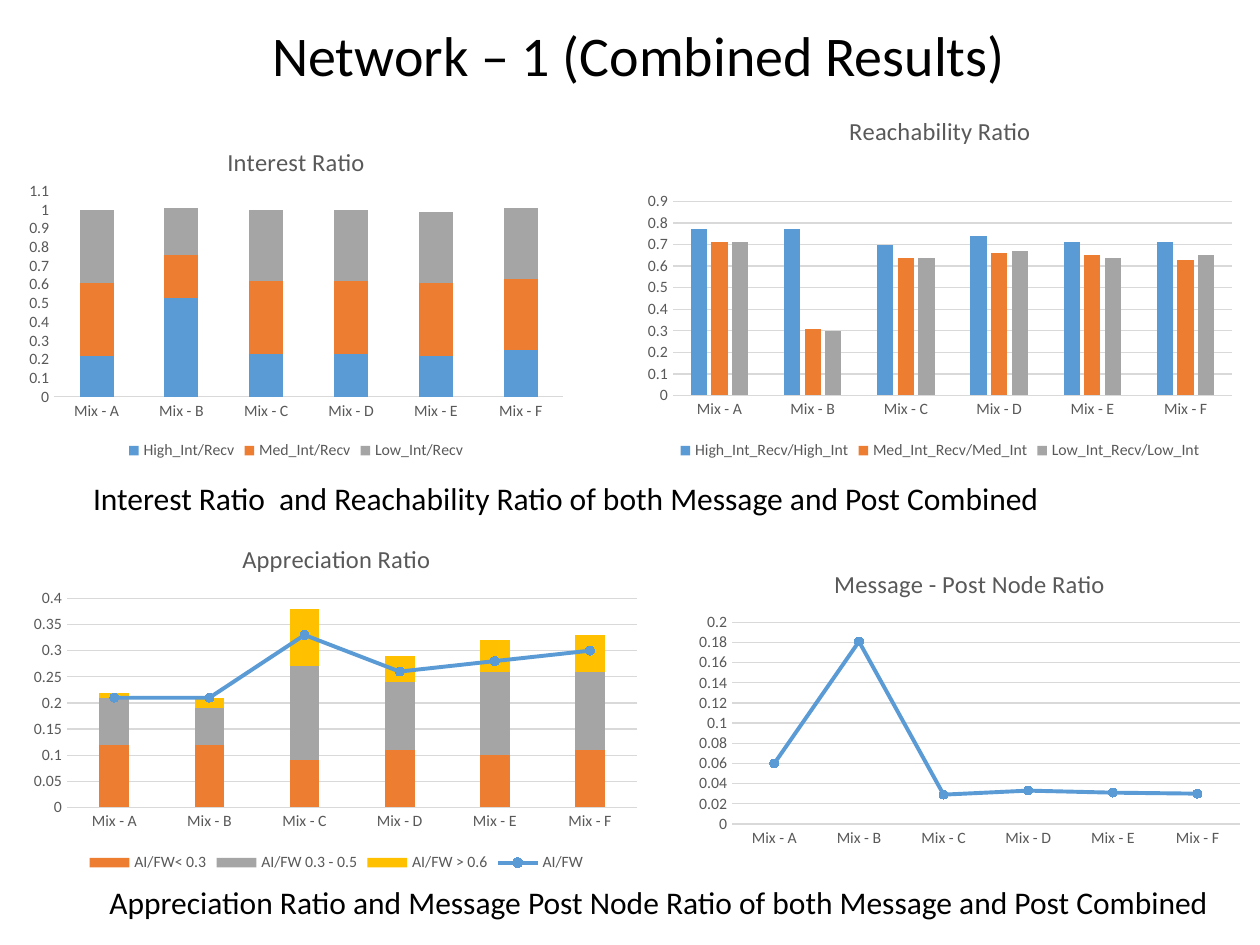
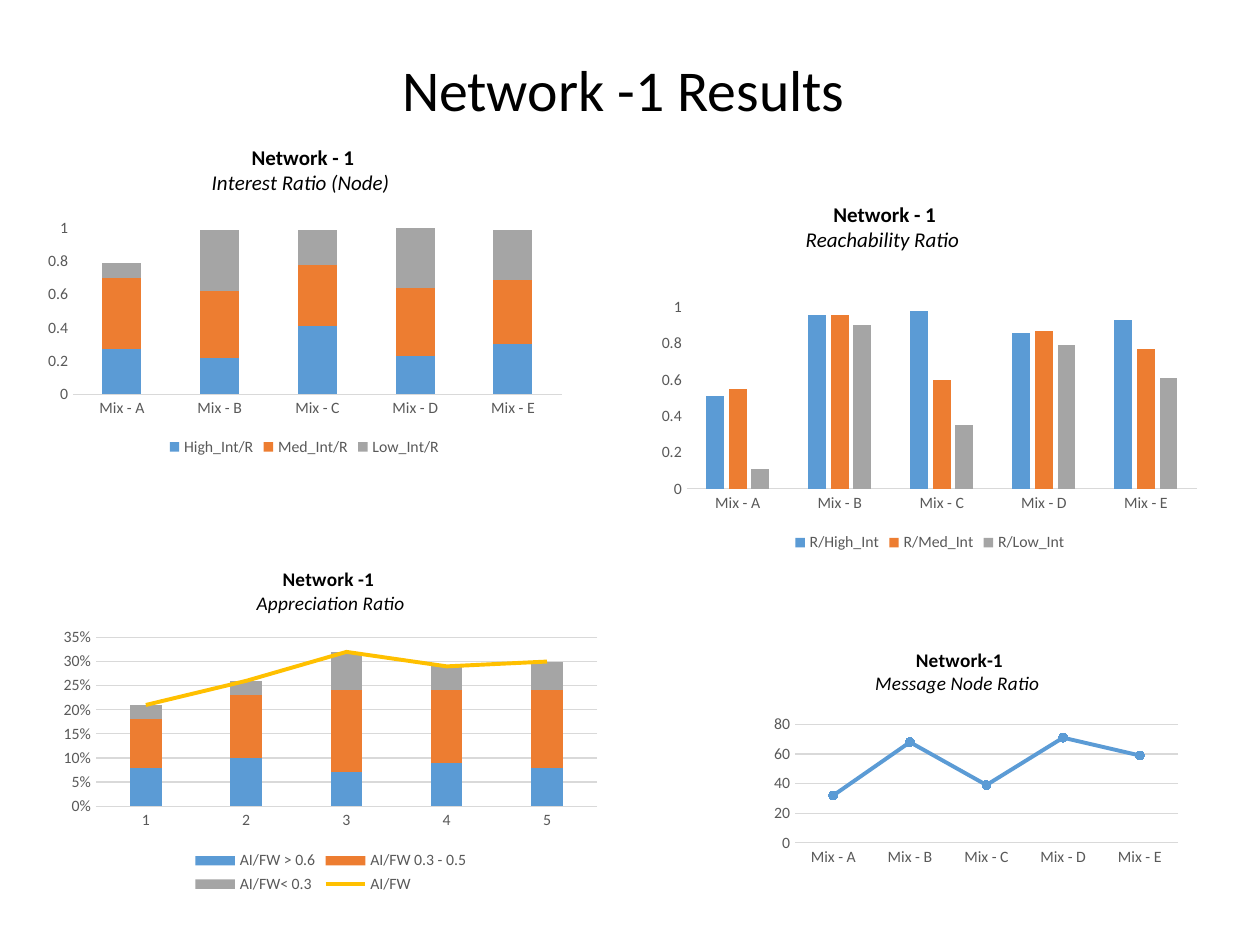
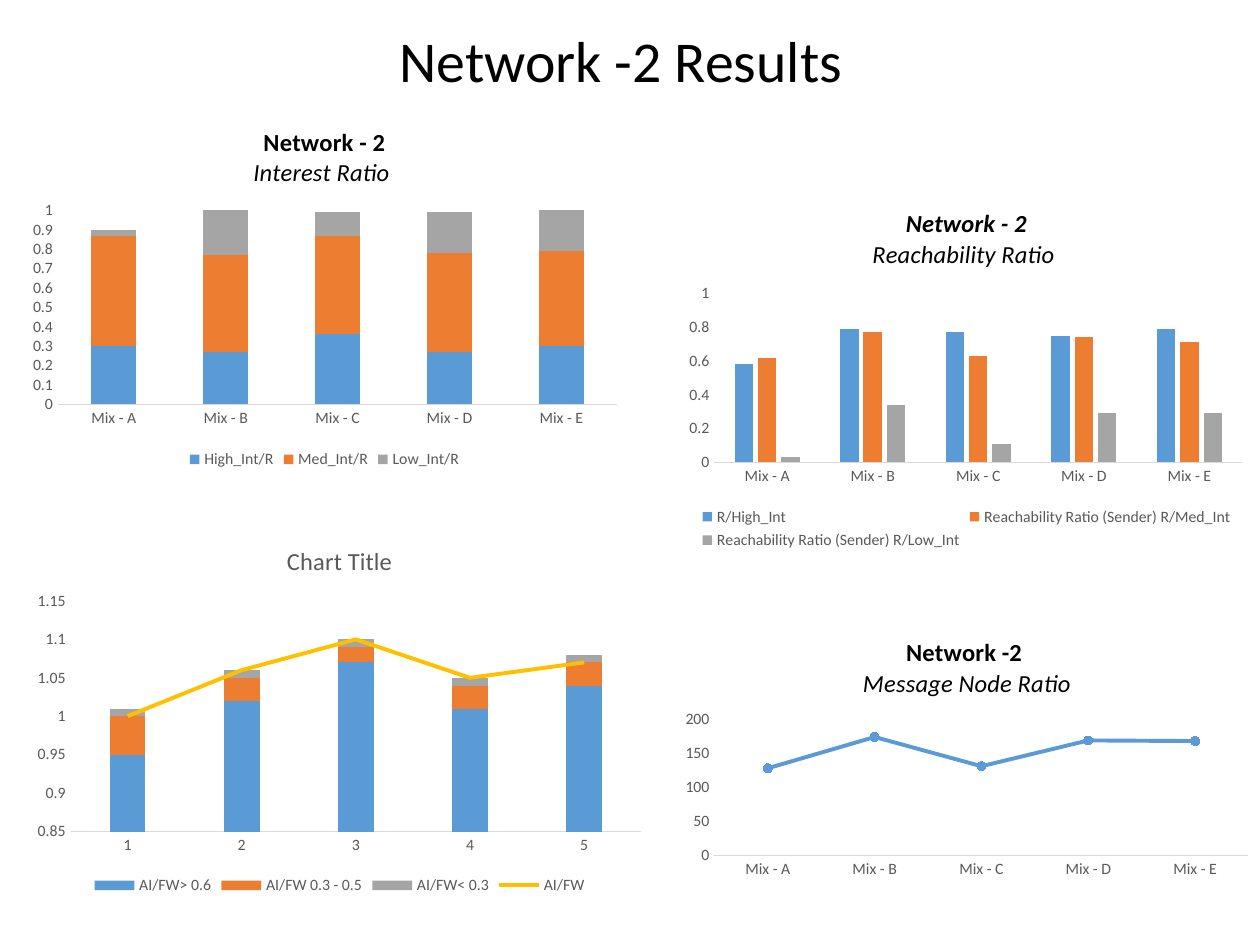
"""Build three slides of network result charts."""
from dataclasses import dataclass
from typing import NamedTuple, Optional

from lxml.etree import SubElement
from pptx import Presentation
from pptx.chart.data import CategoryChartData
from pptx.dml.color import RGBColor
from pptx.enum.chart import XL_CHART_TYPE, XL_LEGEND_POSITION, XL_MARKER_STYLE, XL_TICK_MARK
from pptx.enum.text import MSO_ANCHOR, MSO_AUTO_SIZE, PP_ALIGN
from pptx.oxml.ns import qn
from pptx.util import Inches, Pt

FONT = "Calibri"
COLORS = {
    "black": "000000",
    "gray_text": "595959",
    "rule": "D9D9D9",
    "blue": "5B9BD5",
    "orange": "ED7D31",
    "gray": "A5A5A5",
    "gold": "FFC000",
}
MIXES = tuple(f"Mix - {letter}" for letter in "ABCDEF")
NUMBERS = tuple("12345")
BLUE_FIRST = ("blue", "orange", "gray")
ORANGE_FIRST = ("orange", "gray", "gold")


class Box(NamedTuple):
    """Left, top, width and height in inches."""
    left: float
    top: float
    width: float
    height: float


class Series(NamedTuple):
    """A named row of chart values."""
    name: str
    values: tuple


class Line(NamedTuple):
    """Text and format of one chart title line."""
    text: str
    bold: bool = False
    italic: bool = False


class Scale(NamedTuple):
    """Value axis range, step and look."""
    high: float
    step: float
    low: float = 0
    grid: bool = False
    number_format: str = "General"


@dataclass
class ResultChart:
    """A chart of columns, of one line, or of both."""
    box: Box
    plot: Box
    title: tuple
    scale: Scale
    columns: tuple = ()
    colors: tuple = BLUE_FIRST
    stacked: bool = True
    gap: int = 219
    line: Optional[Series] = None
    line_color: str = "blue"
    markers: bool = True
    categories: tuple = MIXES
    title_size: int = 14
    title_color: str = "black"
    title_at: Optional[tuple] = None


@dataclass
class Caption:
    """A line of text under a row of charts."""
    box: Box
    text: str


@dataclass
class ResultSlide:
    """A titled slide with charts and captions."""
    title: str
    title_box: Box
    title_size: int
    charts: tuple
    captions: tuple = ()


def rgb(name: str) -> RGBColor:
    """Look up a palette colour."""
    return RGBColor.from_string(COLORS[name])


def style_font(font, size: float, color: str, bold: bool = False, italic: bool = False) -> None:
    """Set every font property used in the deck."""
    font.name, font.size, font.bold, font.italic = FONT, Pt(size), bold, italic
    font.color.rgb = rgb(color)


def write(p, text: str, *, size: float, color: str = "black", bold: bool = False,
          italic: bool = False, align=None, spacing: Optional[float] = None) -> None:
    """Add formatted text to a paragraph."""
    r = p.add_run()
    r.text = text
    style_font(r.font, size, color, bold, italic)
    if align is not None:
        p.alignment = align
    if spacing is not None:
        p.line_spacing = spacing


def set_layout(parent, index: int, **values) -> None:
    """Give a chart part a manual layout."""
    for old in parent.findall(qn("c:layout")):
        parent.remove(old)
    layout = SubElement(parent, qn("c:layout"))
    parent.insert(index, layout)
    manual = SubElement(layout, qn("c:manualLayout"))
    for tag, value in values.items():
        SubElement(manual, qn(f"c:{tag}")).set("val", str(value))


def place_plot(chart, box: Box, plot: Box) -> None:
    """Place the inner plot area within the chart."""
    set_layout(chart._chartSpace.chart.plotArea, 0, layoutTarget="inner", xMode="edge", yMode="edge",
               x=round((plot.left - box.left) / box.width, 4),
               y=round((plot.top - box.top) / box.height, 4),
               w=round(plot.width / box.width, 4),
               h=round(plot.height / box.height, 4))


def split_line(chart) -> None:
    """Move the last column series into a line plot on the same axes."""
    bars = chart._chartSpace.chart.plotArea.find(qn("c:barChart"))
    ser = bars.findall(qn("c:ser"))[-1]
    for flag in ser.findall(qn("c:invertIfNegative")):
        ser.remove(flag)
    lines = SubElement(bars.getparent(), qn("c:lineChart"))
    bars.addnext(lines)
    SubElement(lines, qn("c:grouping")).set("val", "standard")
    SubElement(lines, qn("c:varyColors")).set("val", "0")
    lines.append(ser)
    SubElement(lines, qn("c:marker")).set("val", "1")
    for axis in bars.findall(qn("c:axId")):
        SubElement(lines, qn("c:axId")).set("val", axis.get("val"))


def style_line(series, color: str, markers: bool) -> None:
    """Format a line series."""
    series.smooth = False
    series.format.line.color.rgb = rgb(color)
    series.format.line.width = Pt(2.25)
    series.marker.style = XL_MARKER_STYLE.CIRCLE if markers else XL_MARKER_STYLE.NONE
    if markers:
        series.marker.size = 5
        series.marker.format.fill.solid()
        series.marker.format.fill.fore_color.rgb = rgb(color)
        series.marker.format.line.color.rgb = rgb(color)


def style_axes(chart, scale: Scale) -> None:
    """Format both axes."""
    cat, val = chart.category_axis, chart.value_axis
    for axis in (cat, val):
        axis.major_tick_mark = axis.minor_tick_mark = XL_TICK_MARK.NONE
        style_font(axis.tick_labels.font, 9, "gray_text")
    cat.format.line.color.rgb = rgb("rule")
    cat.format.line.width = Pt(0.75)
    val.format.line.fill.background()
    val.minimum_scale, val.maximum_scale, val.major_unit = scale.low, scale.high, scale.step
    val.tick_labels.number_format = scale.number_format
    val.tick_labels.number_format_is_linked = False
    val.has_major_gridlines = scale.grid
    if scale.grid:
        val.major_gridlines.format.line.color.rgb = rgb("rule")
        val.major_gridlines.format.line.width = Pt(0.75)


def add_title(chart, item: ResultChart) -> None:
    """Write the chart title."""
    chart.has_title = True
    tf = chart.chart_title.text_frame
    for i, line in enumerate(item.title):
        p = tf.add_paragraph() if i else tf.paragraphs[0]
        write(p, line.text, size=item.title_size, color=item.title_color,
              bold=line.bold, italic=line.italic)
    chart.chart_title.include_in_layout = False
    if item.title_at:
        x, y = item.title_at
        set_layout(chart.chart_title._element, 1, xMode="edge", yMode="edge", x=x, y=y)


def add_result_chart(s, item: ResultChart) -> None:
    """Draw one result chart."""
    rows = item.columns + ((item.line,) if item.line else ())
    data = CategoryChartData()
    data.categories = item.categories[:len(rows[0].values)]
    for row in rows:
        data.add_series(row.name, row.values)
    if not item.columns:
        kind = XL_CHART_TYPE.LINE_MARKERS
    elif item.stacked:
        kind = XL_CHART_TYPE.COLUMN_STACKED
    else:
        kind = XL_CHART_TYPE.COLUMN_CLUSTERED
    chart = s.shapes.add_chart(kind, *map(Inches, item.box), data).chart
    style_font(chart.font, 10, "black")
    if item.columns and item.line:
        split_line(chart)
    for plot in chart.plots:
        plot.vary_by_categories = False
    if item.columns:
        bars = chart.plots[0]
        bars.gap_width, bars.overlap = item.gap, 100 if item.stacked else -27
        for series, color in zip(bars.series, item.colors):
            series.format.fill.solid()
            series.format.fill.fore_color.rgb = rgb(color)
    if item.line:
        style_line(list(chart.plots)[-1].series[0], item.line_color, item.markers)
    style_axes(chart, item.scale)
    add_title(chart, item)
    chart.has_legend = bool(item.columns)
    if chart.has_legend:
        chart.legend.position = XL_LEGEND_POSITION.BOTTOM
        chart.legend.include_in_layout = False
        style_font(chart.legend.font, 9, "gray_text")
    place_plot(chart, item.box, item.plot)


def add_caption(s, item: Caption) -> None:
    """Draw a caption."""
    tf = s.shapes.add_textbox(*map(Inches, item.box)).text_frame
    tf.word_wrap = True
    write(tf.paragraphs[0], item.text, size=18)


def add_slide(prs, item: ResultSlide) -> None:
    """Build one slide."""
    s = prs.slides.add_slide(prs.slide_layouts[5])
    sp = s.shapes.title
    sp.left, sp.top, sp.width, sp.height = map(Inches, item.title_box)
    tf = sp.text_frame
    tf.auto_size, tf.vertical_anchor = MSO_AUTO_SIZE.NONE, MSO_ANCHOR.MIDDLE
    write(tf.paragraphs[0], item.title, size=item.title_size, align=PP_ALIGN.CENTER, spacing=0.9)
    for chart in item.charts:
        add_result_chart(s, chart)
    for caption in item.captions:
        add_caption(s, caption)


def heading(network: str, ratio: str, italic: bool = False) -> tuple:
    """Make a bold network line over an italic ratio line."""
    return Line(network, True, italic), Line(ratio, italic=True)


COMBINED = ResultSlide(
    "Network – 1 (Combined Results)", Box(0.58, 0.17, 8.98, 0.59), 32,
    charts=(
        ResultChart(
            Box(0.17, 4.16, 5, 2.8), Box(0.53, 4.75, 4.53, 1.66), (Line("Appreciation Ratio"),),
            Scale(0.4, 0.05, grid=True), title_color="gray_text", colors=ORANGE_FIRST,
            columns=(Series("AI/FW< 0.3", (0.12, 0.12, 0.09, 0.11, 0.1, 0.11)),
                     Series("AI/FW 0.3 - 0.5", (0.09, 0.07, 0.18, 0.13, 0.16, 0.15)),
                     Series("AI/FW > 0.6", (0.01, 0.02, 0.11, 0.05, 0.06, 0.07))),
            line=Series("AI/FW", (0.21, 0.21, 0.33, 0.26, 0.28, 0.3))),
        ResultChart(
            Box(5.46, 4.36, 4.47, 2.42), Box(5.81, 4.94, 4.03, 1.6),
            (Line("Message - Post Node Ratio"),),
            Scale(0.2, 0.02, grid=True), title_color="gray_text",
            line=Series("Series 1", (0.06, 0.181, 0.029, 0.033, 0.031, 0.03))),
        ResultChart(
            Box(0.14, 1.01, 4.42, 2.68), Box(0.43, 1.52, 4.04, 1.63), (Line("Interest Ratio"),),
            Scale(1.1, 0.1), title_color="gray_text", gap=150,
            columns=(Series("High_Int/Recv", (0.22, 0.53, 0.23, 0.23, 0.22, 0.25)),
                     Series("Med_Int/Recv", (0.39, 0.23, 0.39, 0.39, 0.39, 0.38)),
                     Series("Low_Int/Recv", (0.39, 0.25, 0.38, 0.38, 0.38, 0.38)))),
        ResultChart(
            Box(5.05, 0.76, 4.82, 2.93), Box(5.34, 1.6, 4.44, 1.54), (Line("Reachability Ratio"),),
            Scale(0.9, 0.1, grid=True), title_color="gray_text", stacked=False,
            columns=(Series("High_Int_Recv/High_Int", (0.77, 0.77, 0.7, 0.74, 0.71, 0.71)),
                     Series("Med_Int_Recv/Med_Int", (0.71, 0.31, 0.64, 0.66, 0.65, 0.63)),
                     Series("Low_Int_Recv/Low_Int", (0.71, 0.3, 0.64, 0.67, 0.64, 0.65)))),
    ),
    captions=(
        Caption(Box(0.77, 6.96, 9.08, 0.4),
                "Appreciation Ratio and Message Post Node Ratio of both Message and Post Combined"),
        Caption(Box(0.64, 3.75, 8.42, 0.4),
                "Interest Ratio  and Reachability Ratio of both Message and Post Combined"),
    ))

NETWORK_1 = ResultSlide(
    "Network -1 Results ", Box(0.69, 0.4, 8.62, 0.68), 33,
    charts=(
        ResultChart(
            Box(0.29, 1.08, 4.25, 2.58), Box(0.58, 1.81, 3.88, 1.32),
            heading("Network - 1", "Interest Ratio (Node) "), Scale(1, 0.2),
            title_size=12, title_at=(0.32, 0.01), gap=150,
            columns=(Series("High_Int/R", (0.27, 0.22, 0.41, 0.23, 0.3)),
                     Series("Med_Int/R", (0.43, 0.4, 0.37, 0.41, 0.39)),
                     Series("Low_Int/R", (0.09, 0.37, 0.21, 0.36, 0.3)))),
        ResultChart(
            Box(5.17, 1.5, 4.42, 2.92), Box(5.45, 2.44, 4.05, 1.44),
            heading("Network - 1", "Reachability Ratio "), Scale(1, 0.2),
            title_size=12, title_at=(0.27, 0.02), stacked=False,
            columns=(Series("R/High_Int", (0.51, 0.96, 0.98, 0.86, 0.93)),
                     Series("R/Med_Int", (0.55, 0.96, 0.6, 0.87, 0.77)),
                     Series("R/Low_Int", (0.11, 0.9, 0.35, 0.79, 0.61)))),
        ResultChart(
            Box(0.42, 4.35, 4.41, 2.78), Box(0.76, 5.06, 3.98, 1.34),
            heading("Network -1 ", "Appreciation Ratio"),
            Scale(0.35, 0.05, grid=True, number_format="0%"),
            title_size=11, categories=NUMBERS, line_color="gold", markers=False,
            columns=(Series("AI/FW > 0.6", (0.08, 0.1, 0.07, 0.09, 0.08)),
                     Series("AI/FW 0.3 - 0.5", (0.1, 0.13, 0.17, 0.15, 0.16)),
                     Series("AI/FW< 0.3", (0.03, 0.03, 0.08, 0.05, 0.06))),
            line=Series("AI/FW", (0.21, 0.26, 0.32, 0.29, 0.3))),
        ResultChart(
            Box(6.08, 5.08, 3.34, 1.84), Box(6.31, 5.75, 3.04, 0.94),
            heading("Network-1", "Message Node Ratio "), Scale(80, 20, grid=True),
            title_size=11, title_at=(0.25, 0.01),
            line=Series("Series 1", (32, 68, 39, 71, 59))),
    ))

NETWORK_2 = ResultSlide(
    "Network -2 Results ", Box(0.67, 0.17, 8.62, 0.68), 33,
    charts=(
        ResultChart(
            Box(0.16, 0.85, 4.83, 2.91), Box(0.46, 1.67, 4.44, 1.54),
            heading("Network - 2", "Interest Ratio "), Scale(1, 0.1), gap=150,
            columns=(Series("High_Int/R", (0.3, 0.27, 0.36, 0.27, 0.3)),
                     Series("Med_Int/R", (0.57, 0.5, 0.51, 0.51, 0.49)),
                     Series("Low_Int/R", (0.03, 0.23, 0.12, 0.21, 0.21)))),
        ResultChart(
            Box(5.38, 1.5, 4.58, 2.9), Box(5.67, 2.33, 4.19, 1.34),
            heading("Network - 2", "Reachability Ratio ", italic=True), Scale(1, 0.1),
            stacked=False,
            columns=(Series("R/High_Int", (0.58, 0.79, 0.77, 0.75, 0.79)),
                     Series("Reachability Ratio (Sender) R/Med_Int", (0.62, 0.77, 0.63, 0.74, 0.71)),
                     Series("Reachability Ratio (Sender) R/Low_Int", (0.03, 0.34, 0.11, 0.29, 0.29)))),
        ResultChart(
            Box(0.2, 4.17, 4.99, 2.97), Box(0.56, 4.77, 4.53, 1.83), (Line("Chart Title"),),
            Scale(1.15, 0.05, low=0.85), title_color="gray_text",
            categories=NUMBERS, line_color="gold", markers=False,
            columns=(Series("AI/FW> 0.6", (0.95, 1.02, 1.07, 1.01, 1.04)),
                     Series("AI/FW 0.3 - 0.5", (0.05, 0.03, 0.02, 0.03, 0.03)),
                     Series("AI/FW< 0.3", (0.01,) * 5)),
            line=Series("AI/FW", (1, 1.06, 1.1, 1.05, 1.07))),
        ResultChart(
            Box(5.35, 4.92, 4.65, 2.1), Box(5.67, 5.71, 4.24, 1.08),
            heading("Network -2 ", "Message Node Ratio"), Scale(200, 50),
            line=Series("Series 1", (128, 174, 131, 169, 168))),
    ))


def main() -> None:
    """Build and save the deck."""
    prs = Presentation()
    prs.slide_width, prs.slide_height = Inches(10), Inches(7.5)
    for item in (COMBINED, NETWORK_1, NETWORK_2):
        add_slide(prs, item)
    prs.save("out.pptx")


if __name__ == "__main__":
    main()
